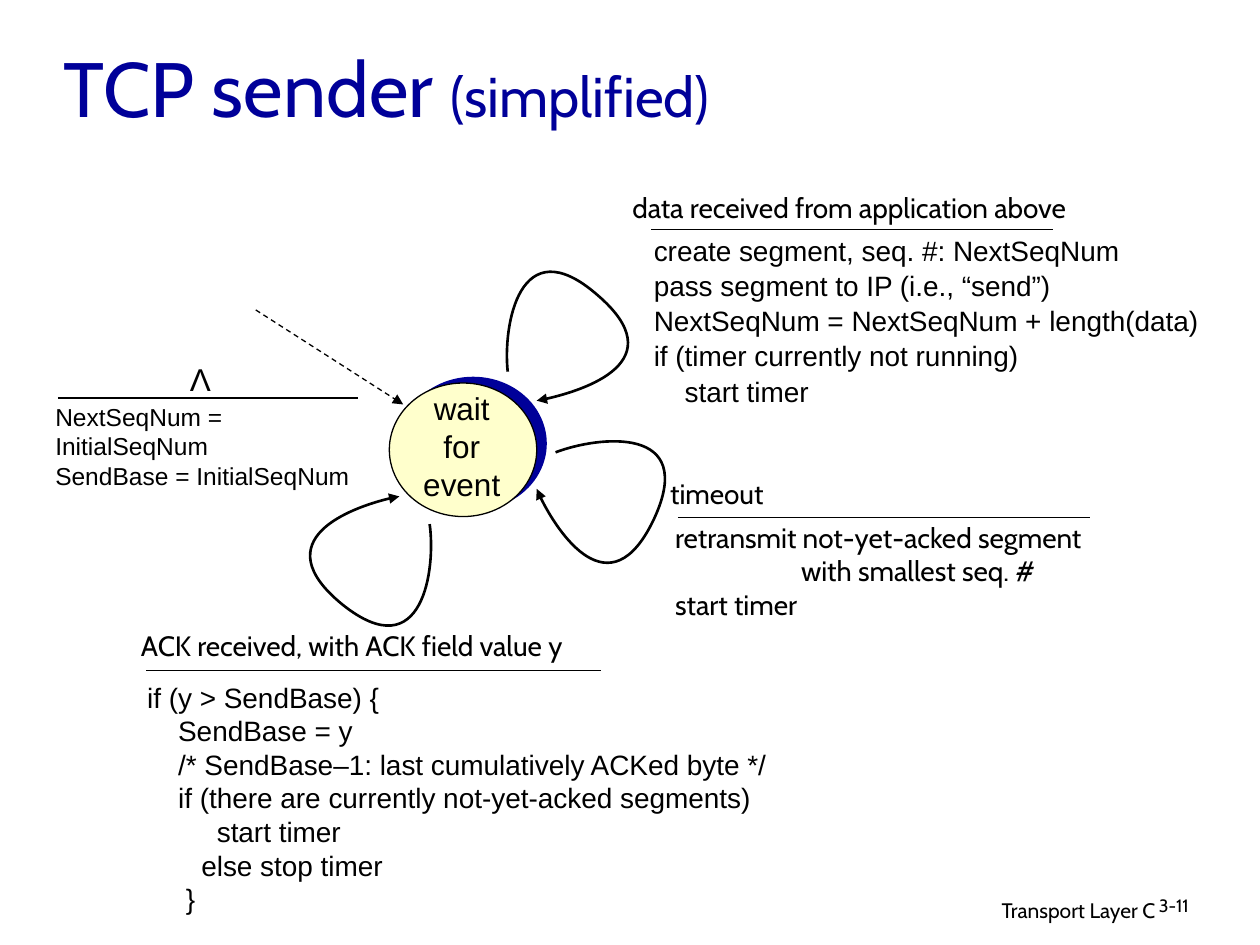
from dataclasses import dataclass

import pptx
import pptx.dml.color
import pptx.enum.dml
import pptx.enum.shapes
import pptx.enum.text
import pptx.oxml.ns
import pptx.oxml.xmlchemy
import pptx.util
from pptx.util import Inches

RGBColor = pptx.dml.color.RGBColor
ALIGN = pptx.enum.text.PP_ALIGN
ANCHOR = pptx.enum.text.MSO_ANCHOR
NAVY = RGBColor(0x00, 0x00, 0x99)
CREAM = RGBColor(0xFF, 0xFF, 0xCC)
BLACK = RGBColor(0x00, 0x00, 0x00)
Point = tuple[float, float]


@dataclass
class Label:
    box: tuple[float, float, float, float]
    lines: list[str]
    size: float = 16
    font: str = "Cabin"
    align: ALIGN = ALIGN.LEFT
    spacing: float = 1.0
    wrap: bool = False


@dataclass
class Rule:
    """Horizontal line between an event and its actions."""
    left: float
    right: float
    y: float


@dataclass
class Loop:
    """Self-transition: start point, then two cubic curves of three points."""
    start: Point
    curves: list[Point]


LABELS = [
    # Footer
    Label((6.1, 7.07, 3.17, 0.31), ["Transport Layer C"], 12, align=ALIGN.RIGHT, wrap=True),
    Label((9.1, 7.07, 0.74, 0.3), ["3-11"], 10.2, spacing=0.9, wrap=True),
    # State and initial transition
    Label((3.26, 3.04, 0.81, 1), ["wait", "for", "event"], 18, "Arial", ALIGN.CENTER),
    Label((0.34, 3.14, 2.79, 0.57),
          ["NextSeqNum = InitialSeqNum", "SendBase = InitialSeqNum"], 14, "Arial"),
    Label((1.41, 2.81, 0.37, 0.4), ["Λ"], 18, "Arial"),
    # Data from above
    Label((4.92, 1.46, 4.06, 0.37), ["data received from application above"]),
    Label((5.09, 1.79, 4.58, 1.5),
          ["create segment, seq. #: NextSeqNum",
           "pass segment to IP (i.e., “send”)",
           "NextSeqNum = NextSeqNum + length(data)",
           "if (timer currently not running)",
           "    start timer"], font="Arial", spacing=1.05),
    # Timeout
    Label((5.22, 3.73, 1.02, 0.37), ["timeout"]),
    Label((5.26, 4.08, 3.6, 0.9),
          ["retransmit not-yet-acked segment", "\twith smallest seq. #", "start timer"],
          wrap=True),
    # ACK received
    Label((1.02, 4.94, 3.95, 0.37), ["ACK received, with ACK field value y"]),
    Label((1.07, 5.35, 5.13, 1.97),
          ["if (y > SendBase) {",
           "    SendBase = y",
           "    /* SendBase–1: last cumulatively ACKed byte */",
           "    if (there are currently not-yet-acked segments)",
           "         start timer",
           "       else stop timer",
           "     }"], font="Arial"),
]
RULES = [Rule(0.46, 2.84, 3.16), Rule(5.17, 8.36, 1.82),
         Rule(5.38, 8.65, 4.11), Rule(1.16, 4.77, 5.32)]
LOOPS = [
    Loop((4.03, 2.95), [(3.99, 2.59), (4.12, 1.8), (4.74, 2.34),
                        (5.36, 2.87), (4.52, 3.14), (4.26, 3.18)]),
    Loop((4.41, 3.59), [(4.75, 3.46), (5.54, 3.37), (5.19, 4.12),
                        (4.84, 4.86), (4.35, 4.12), (4.26, 3.88)]),
    Loop((3.41, 4.16), [(3.46, 4.51), (3.36, 5.31), (2.72, 4.8),
                        (2.08, 4.28), (2.91, 3.98), (3.17, 3.94)]),
]


def sub(parent, tag: str, **attrs: str):
    el = pptx.oxml.xmlchemy.OxmlElement(tag)
    for name, value in attrs.items():
        el.set(name, value)
    parent.append(el)
    return el


def add_title(s) -> None:
    tf = s.shapes.add_textbox(*map(Inches, (0.41, 0.2, 8.46, 0.98))).text_frame
    tf.word_wrap = True
    tf.vertical_anchor = ANCHOR.MIDDLE
    p = tf.paragraphs[0]
    p.font.name, p.font.color.rgb = "Cabin", NAVY
    for text, size in (("TCP sender ", 44), ("(simplified)", 32)):
        r = p.add_run()
        r.text, r.font.size = text, pptx.util.Pt(size)


def add_label(s, label: Label) -> None:
    tf = s.shapes.add_textbox(*map(Inches, label.box)).text_frame
    tf.word_wrap = label.wrap
    for i, line in enumerate(label.lines):
        p = tf.add_paragraph() if i else tf.paragraphs[0]
        # A leading tab marks a line indented by one inch
        if line.startswith("\t"):
            p._p.get_or_add_pPr().set("marL", str(Inches(1)))
        p.text = line.lstrip("\t")
        p.alignment, p.line_spacing = label.align, label.spacing
        p.font.name, p.font.size = label.font, pptx.util.Pt(label.size)
        p.font.color.rgb = BLACK


def add_circle(s, left: float, top: float, fill: RGBColor, outlined: bool) -> None:
    sp = s.shapes.add_shape(pptx.enum.shapes.MSO_SHAPE.OVAL,
                            *map(Inches, (left, top, 1.17, 1.06)))
    sp.shadow.inherit = False
    sp.fill.solid()
    sp.fill.fore_color.rgb = fill
    if outlined:
        set_line(sp, 0.75)
    else:
        sp.line.fill.background()


def set_line(sp, width: float, dashed: bool = False, arrow: bool = False) -> None:
    sp.line.color.rgb = BLACK
    sp.line.width = pptx.util.Pt(width)
    if dashed:
        sp.line.dash_style = pptx.enum.dml.MSO_LINE.DASH
    if arrow:
        sub(sp.line._get_or_add_ln(), "a:tailEnd", type="triangle")


def add_line(s, start: Point, end: Point, marked: bool = False) -> None:
    sp = s.shapes.add_connector(pptx.enum.shapes.MSO_CONNECTOR.STRAIGHT,
                                *map(Inches, start + end))
    set_line(sp, 0.75, dashed=marked, arrow=marked)
    sub(sp._element.spPr, "a:effectLst")


def add_loop(s, loop: Loop) -> None:
    builder = s.shapes.build_freeform(*map(Inches, loop.start), scale=1.0)
    builder.add_line_segments([tuple(map(Inches, pt)) for pt in loop.curves], close=False)
    sp = builder.convert_to_shape()
    sp.shadow.inherit = False
    sp.fill.background()
    set_line(sp, 1.5, arrow=True)
    # Turn each three straight segments into one cubic curve
    path = sp._element.find(".//" + pptx.oxml.ns.qn("a:path"))
    segments = path.findall(pptx.oxml.ns.qn("a:lnTo"))
    for i in range(0, len(segments), 3):
        curve = sub(path, "a:cubicBezTo")
        for segment in segments[i:i + 3]:
            curve.append(segment[0])
            path.remove(segment)


def main() -> None:
    prs = pptx.Presentation()
    prs.slide_width, prs.slide_height = Inches(10), Inches(7.5)
    s = prs.slides.add_slide(prs.slide_layouts[6])

    # State circle over its offset backing
    add_circle(s, 3.17, 2.99, NAVY, outlined=False)
    add_circle(s, 3.09, 3.04, CREAM, outlined=True)

    # Text
    add_title(s)
    for label in LABELS:
        add_label(s, label)

    # Transitions
    add_line(s, (2.03, 2.46), (3.2, 3.21), marked=True)
    for rule in RULES:
        add_line(s, (rule.left, rule.y), (rule.right, rule.y))
    for loop in LOOPS:
        add_loop(s, loop)

    prs.save("out.pptx")


if __name__ == "__main__":
    main()
